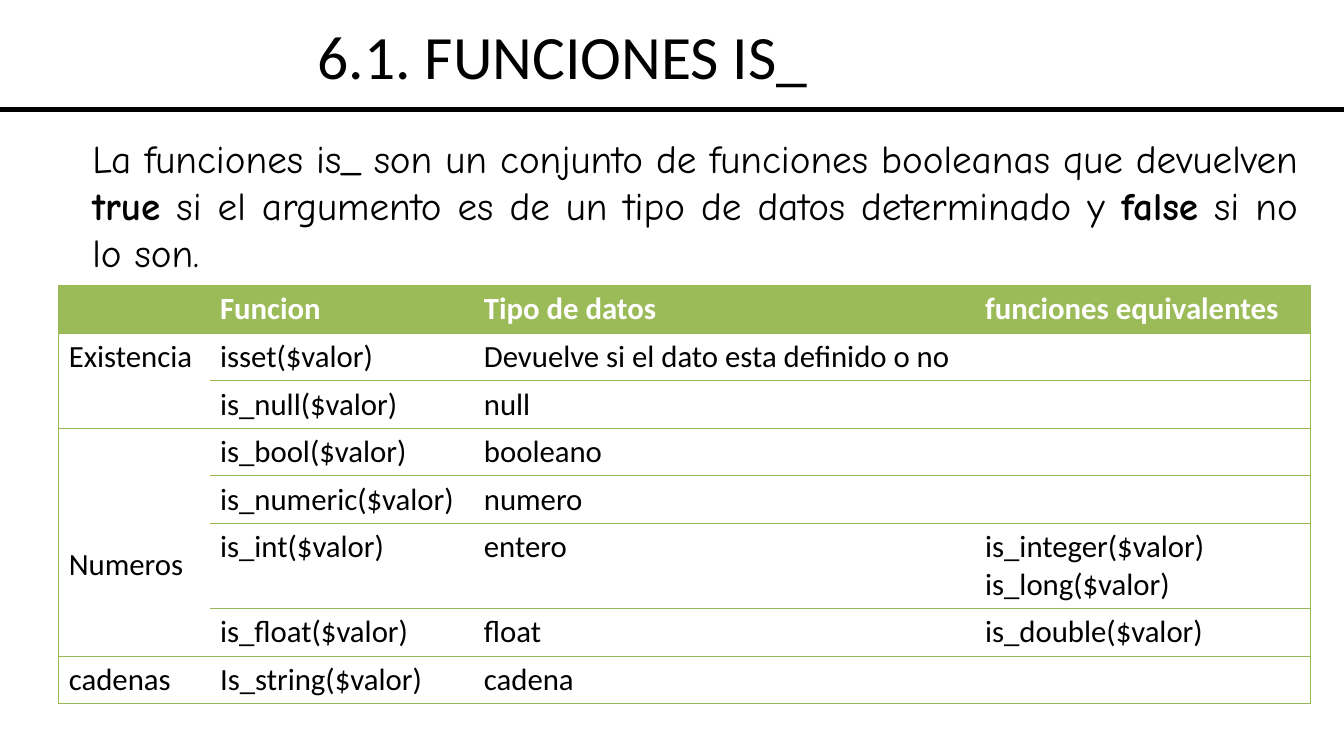
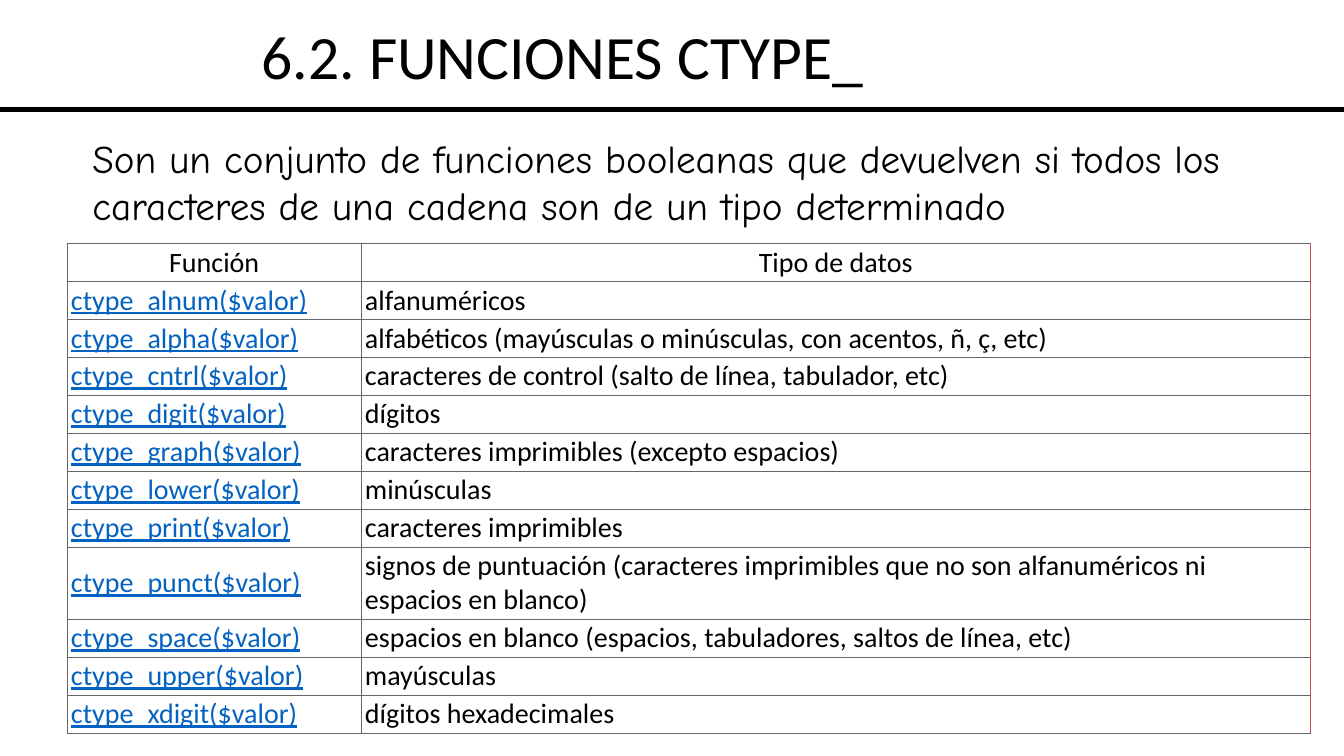
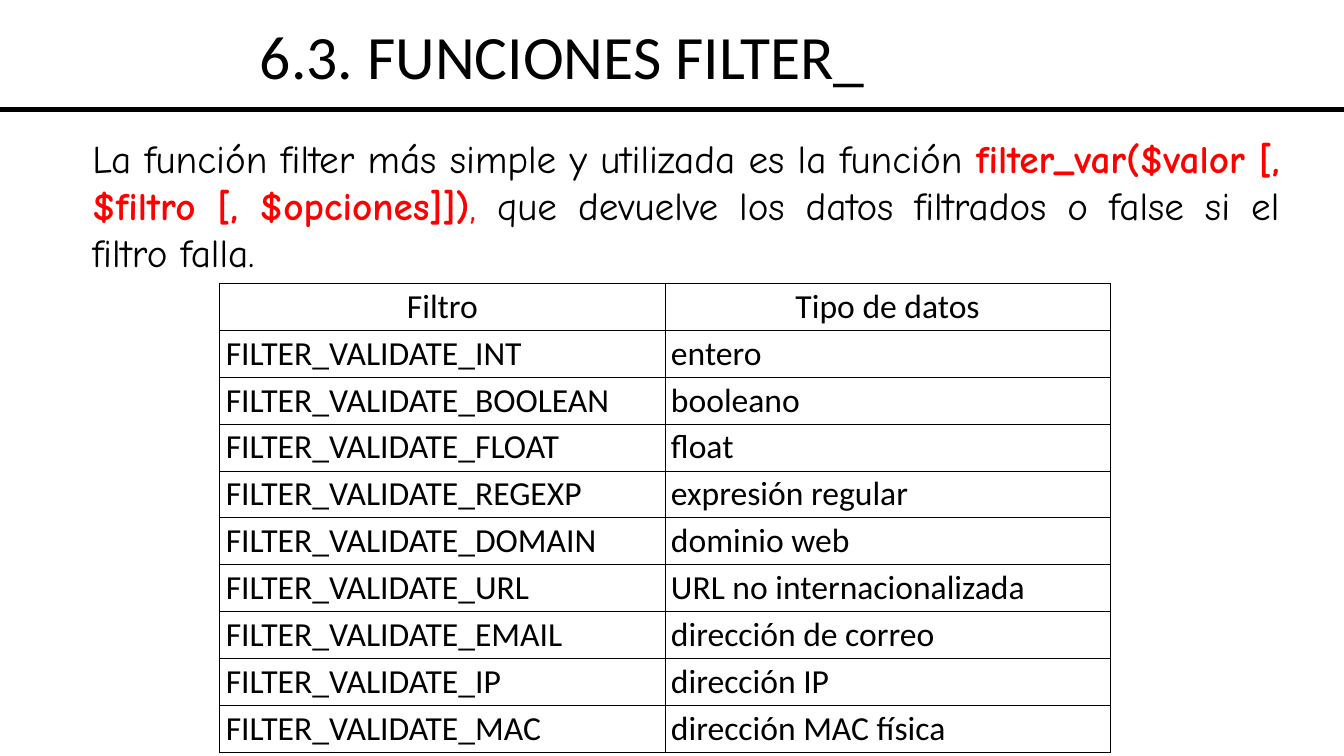
from dataclasses import dataclass
from typing import Optional

from lxml.etree import SubElement
from pptx import Presentation
from pptx.dml.color import RGBColor
from pptx.enum.shapes import MSO_CONNECTOR
from pptx.enum.text import MSO_ANCHOR, MSO_AUTO_SIZE, PP_ALIGN
from pptx.oxml.ns import qn
from pptx.util import Pt

BLACK, WHITE, RED = "000000", "FFFFFF", "FF0000"
GREEN, LINE_GREEN = "9BBB59", "98B955"
GRAY, BRICK, LINK_BLUE = "666666", "C0504D", "0462C1"
TITLE_FONT, BODY_FONT = "Calibri", "Comic Neue"
PLAIN_TABLE_STYLE = "{2D5ABB26-0587-4C30-8999-92F81FD0307C}"


@dataclass(frozen=True)
class Span:
    text: str
    bold: bool = False
    color: str = BLACK


@dataclass(frozen=True)
class Merge:
    first_row: int
    last_row: int
    margin_top: float


@dataclass(frozen=True)
class TableSpec:
    left: float
    top: float
    columns: tuple[float, ...]
    row_height: float
    rows: tuple[tuple[str, ...], ...]
    size: float
    line_color: str
    margins: tuple[float, float]  # horizontal, vertical
    tall_rows: tuple[tuple[int, float], ...] = ()
    merges: tuple[Merge, ...] = ()  # spans in the first column
    header_fill: Optional[str] = None
    body_fill: Optional[str] = None
    header_color: str = BLACK
    header_bold: bool = False
    header_align: Optional[PP_ALIGN] = PP_ALIGN.CENTER
    anchor: MSO_ANCHOR = MSO_ANCHOR.MIDDLE
    inner_columns: bool = True
    right_color: Optional[str] = None
    linked_names: bool = False


@dataclass(frozen=True)
class SlideSpec:
    title: str
    body: tuple[Span, ...]
    body_width: float
    body_align: PP_ALIGN
    table: TableSpec


def rgb(color: str) -> RGBColor:
    return RGBColor.from_string(color)


def style_font(font, name: str, size: float, color: str, bold: bool = False) -> None:
    font.name, font.size, font.bold = name, Pt(size), bold
    font.color.rgb = rgb(color)


# Shared heading: title and rule
def add_heading(page, title: str) -> None:
    box = page.shapes.title
    box.left, box.top, box.width, box.height = Pt(0), Pt(0), Pt(804), Pt(70)
    frame = box.text_frame
    frame.text = title
    frame.word_wrap = True
    frame.auto_size = MSO_AUTO_SIZE.NONE
    frame.vertical_anchor = MSO_ANCHOR.BOTTOM
    para = frame.paragraphs[0]
    para.alignment, para.line_spacing = PP_ALIGN.CENTER, 0.9
    style_font(para.runs[0].font, TITLE_FONT, 44, BLACK)

    rule = page.shapes.add_connector(
        MSO_CONNECTOR.STRAIGHT, Pt(-1), Pt(78), Pt(961), Pt(78))
    rule.line.color.rgb, rule.line.width = rgb(BLACK), Pt(3.5)
    SubElement(rule._element.spPr, qn("a:effectLst"))


def add_body(page, spec: SlideSpec) -> None:
    box = page.shapes.add_textbox(Pt(66), Pt(96), Pt(spec.body_width), Pt(68))
    frame = box.text_frame
    frame.word_wrap = True
    frame.margin_left = frame.margin_right = Pt(0)
    frame.margin_top = frame.margin_bottom = Pt(0)
    para = frame.paragraphs[0]
    para.alignment = spec.body_align
    for span in spec.body:
        run = para.add_run()
        run.text = span.text
        style_font(run.font, BODY_FONT, 28, span.color, span.bold)


# Cell borders, in the order the schema asks for
def set_borders(cell, edges: dict[str, str]) -> None:
    properties = cell._tc.get_or_add_tcPr()
    for position, side in enumerate(s for s in ("L", "R", "T", "B") if s in edges):
        line = SubElement(properties, qn(f"a:ln{side}"), w=str(Pt(0.75)))
        fill = SubElement(line, qn("a:solidFill"))
        SubElement(fill, qn("a:srgbClr"), val=edges[side])
        properties.insert(position, line)


def cell_edges(spec: TableSpec, row: int, column: int, spanned: bool) -> dict[str, str]:
    last_column = column == len(spec.columns) - 1
    edges = {}
    if column == 0 or spec.inner_columns:
        edges["L"] = spec.line_color
    if last_column:
        edges["R"] = spec.right_color or spec.line_color
    if not spanned:
        edges["T"] = spec.line_color
    if row == len(spec.rows) - 1:
        edges["B"] = spec.line_color
    return edges


def fill_cell(cell, spec: TableSpec, text: str, row: int, column: int) -> None:
    header = row == 0
    horizontal, vertical = spec.margins
    cell.margin_left = cell.margin_right = Pt(horizontal)
    cell.margin_top = cell.margin_bottom = Pt(vertical)
    cell.vertical_anchor = spec.anchor
    fill = spec.header_fill if header else spec.body_fill
    if fill:
        cell.fill.solid()
        cell.fill.fore_color.rgb = rgb(fill)
    else:
        cell.fill.background()

    linked = spec.linked_names and column == 0 and not header
    color = spec.header_color if header else LINK_BLUE if linked else BLACK
    cell.text_frame.text = text
    for para in cell.text_frame.paragraphs:
        if header:
            para.alignment = spec.header_align
        para.font.size = Pt(spec.size)
        for run in para.runs:
            style_font(run.font, TITLE_FONT, spec.size, color,
                       header and spec.header_bold)
            run.font.underline = linked
    set_borders(cell, cell_edges(spec, row, column, cell.is_spanned))


def add_data_table(page, spec: TableSpec) -> None:
    heights = [spec.row_height] * len(spec.rows)
    for row, height in spec.tall_rows:
        heights[row] = height
    frame = page.shapes.add_table(
        len(spec.rows), len(spec.columns), Pt(spec.left), Pt(spec.top),
        Pt(sum(spec.columns)), Pt(sum(heights)))
    table = frame.table
    table.first_row = table.horz_banding = False
    table._tbl.tblPr.find(qn("a:tableStyleId")).text = PLAIN_TABLE_STYLE
    for column, width in zip(table.columns, spec.columns):
        column.width = Pt(width)
    for row, height in zip(table.rows, heights):
        row.height = Pt(height)
    for merge in spec.merges:
        table.cell(merge.first_row, 0).merge(table.cell(merge.last_row, 0))
    for row, texts in enumerate(spec.rows):
        for column, text in enumerate(texts):
            fill_cell(table.cell(row, column), spec, text, row, column)
    for merge in spec.merges:
        table.cell(merge.first_row, 0).margin_top = Pt(merge.margin_top)


# Contents
IS_TABLE = TableSpec(
    left=42, top=204, columns=(108, 188.5, 358, 239.5), row_height=34,
    size=22, line_color=LINE_GREEN, margins=(7.2, 3.6),
    tall_rows=((5, 60.8),),
    merges=(Merge(1, 2, 3.6), Merge(3, 6, 84)),
    header_fill=GREEN, header_color=WHITE, header_bold=True,
    header_align=None, anchor=MSO_ANCHOR.TOP, inner_columns=False,
    rows=(
        ("", "Funcion", "Tipo de datos", "funciones equivalentes"),
        ("Existencia", "isset($valor)", "Devuelve si el dato esta definido o no", ""),
        ("", "is_null($valor)", "null", ""),
        ("Numeros", "is_bool($valor)", "booleano", ""),
        ("", "is_numeric($valor)", "numero", ""),
        ("", "is_int($valor)", "entero", "is_integer($valor)\nis_long($valor)"),
        ("", "is_float($valor)", "float", "is_double($valor)"),
        ("cadenas", "Is_string($valor)", "cadena", ""),
    ))

CTYPES = (
    ("alnum", "alfanuméricos"),
    ("alpha", "alfabéticos (mayúsculas o minúsculas, con acentos, ñ, ç, etc)"),
    ("cntrl", "caracteres de control (salto de línea, tabulador, etc)"),
    ("digit", "dígitos"),
    ("graph", "caracteres imprimibles (excepto espacios)"),
    ("lower", "minúsculas"),
    ("print", "caracteres imprimibles"),
    ("punct", "signos de puntuación (caracteres imprimibles que no son "
              "alfanuméricos ni espacios en blanco)"),
    ("space", "espacios en blanco (espacios, tabuladores, saltos de línea, etc)"),
    ("upper", "mayúsculas"),
    ("xdigit", "dígitos hexadecimales"),
)
CTYPE_TABLE = TableSpec(
    left=48, top=174, columns=(210, 678), row_height=27.1,
    size=20, line_color=GRAY, margins=(2.7, 1.35), tall_rows=((8, 51.5),),
    right_color=BRICK, linked_names=True,
    rows=(("Función", "Tipo de datos"),
          *((f"ctype_{name}($valor)", kind) for name, kind in CTYPES)))

FILTERS = (
    ("INT", "entero"),
    ("BOOLEAN", "booleano"),
    ("FLOAT", "float"),
    ("REGEXP", "expresión regular"),
    ("DOMAIN", "dominio web"),
    ("URL", "URL no internacionalizada"),
    ("EMAIL", "dirección de correo"),
    ("IP", "dirección IP"),
    ("MAC", "dirección MAC física"),
)
FILTER_TABLE = TableSpec(
    left=157, top=202.5, columns=(318, 318), row_height=33.5,
    size=24, line_color=BLACK, margins=(4.3, 2.1),
    header_fill=WHITE, body_fill=WHITE,
    rows=(("Filtro", "Tipo de datos"),
          *((f"FILTER_VALIDATE_{name}", kind) for name, kind in FILTERS)))

SLIDES = (
    SlideSpec(
        "6.1. FUNCIONES IS_",
        (Span("La funciones is_ son un conjunto de funciones booleanas que devuelven "),
         Span("true", bold=True),
         Span(" si el argumento es de un tipo de datos determinado y "),
         Span("false", bold=True),
         Span(" si no lo son.")),
        861, PP_ALIGN.JUSTIFY, IS_TABLE),
    SlideSpec(
        "6.2. FUNCIONES CTYPE_",
        (Span("Son un conjunto de funciones booleanas que devuelven si todos los "
              "caracteres de una cadena son de un tipo determinado"),),
        861, PP_ALIGN.LEFT, CTYPE_TABLE),
    SlideSpec(
        "6.3. FUNCIONES FILTER_",
        (Span("La función filter más simple y utilizada es la función "),
         Span("filter_var($valor [, $filtro [, $opciones]])", bold=True, color=RED),
         Span(", ", color=RED),
         Span("que devuelve los datos filtrados o false si el filtro falla.")),
        848, PP_ALIGN.JUSTIFY, FILTER_TABLE),
)


def main() -> None:
    deck = Presentation()
    deck.slide_width, deck.slide_height = Pt(960), Pt(540)
    title_only = deck.slide_layouts[5]
    for spec in SLIDES:
        page = deck.slides.add_slide(title_only)
        add_heading(page, spec.title)
        add_body(page, spec)
        add_data_table(page, spec.table)
    deck.save("out.pptx")


if __name__ == "__main__":
    main()
